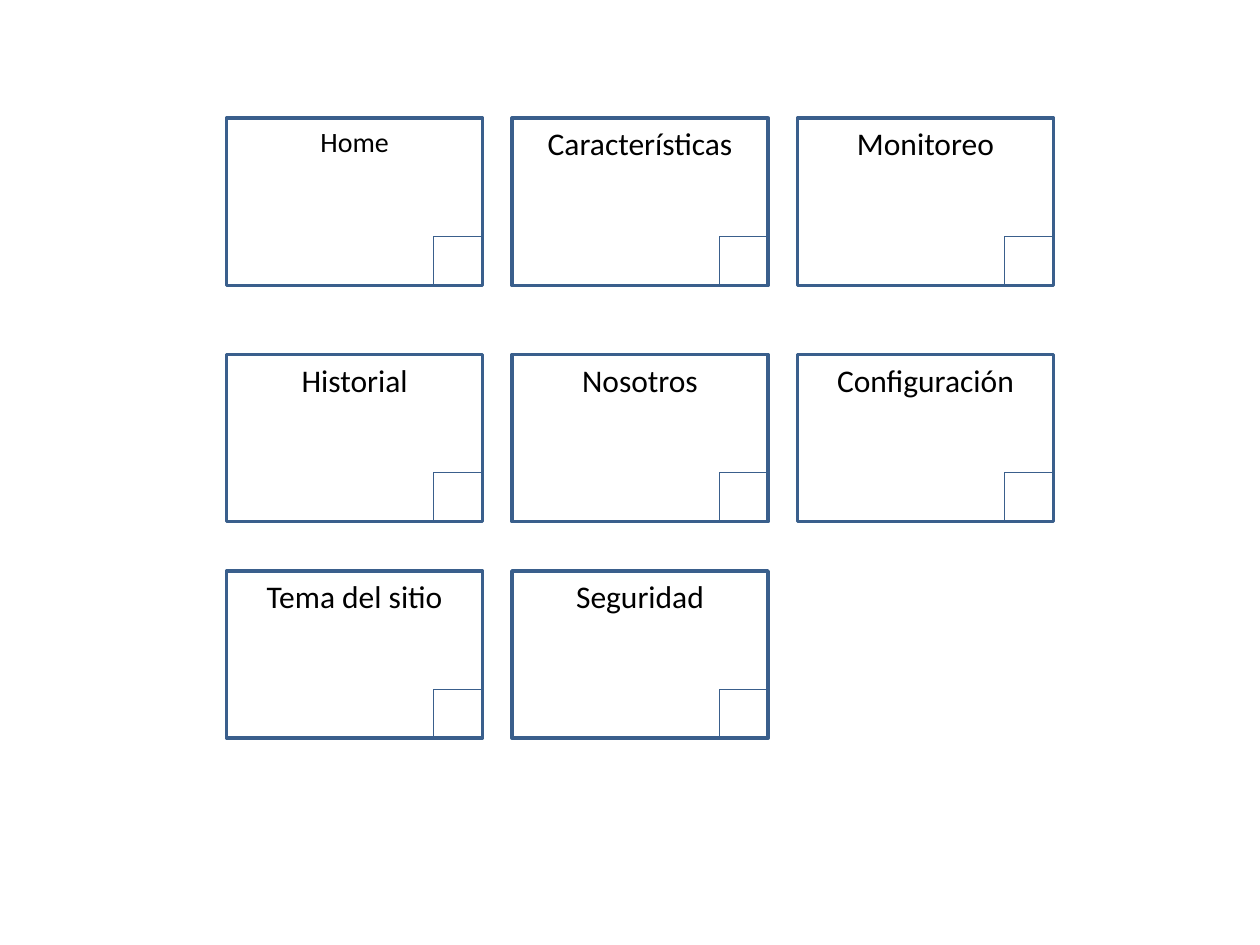
"""Build a site map slide: a grid of titled page cards, each with a corner box."""
from dataclasses import dataclass

from pptx import Presentation
from pptx import util as u
from pptx.dml.color import RGBColor
from pptx.enum import shapes, text


@dataclass
class Theme:
    outline: RGBColor = RGBColor(0x3A, 0x5F, 0x8C)
    ink: RGBColor = RGBColor(0, 0, 0)
    font: str = "Calibri"
    title_size: float = 18
    home_size: float = 16


theme = Theme()
presentation = Presentation()
presentation.slide_width = u.Pt(720)
presentation.slide_height = u.Pt(540)
slide = presentation.slides.add_slide(presentation.slide_layouts[6])


def add_box(left, top, width, height, line_width):
    box = slide.shapes.add_shape(
        shapes.MSO_SHAPE.RECTANGLE, u.Pt(left), u.Pt(top), u.Pt(width), u.Pt(height)
    )
    box.shadow.inherit = False
    box.fill.background()
    box.line.color.rgb = theme.outline
    box.line.width = u.Pt(line_width)


def add_text(content, *, left, top, width, height, size):
    label = slide.shapes.add_textbox(u.Pt(left), u.Pt(top), u.Pt(width), u.Pt(height))
    frame = label.text_frame
    frame.word_wrap = True
    frame.auto_size = text.MSO_AUTO_SIZE.SHAPE_TO_FIT_TEXT
    paragraph = frame.paragraphs[0]
    paragraph.alignment = text.PP_ALIGN.CENTER
    run = paragraph.add_run()
    run.text = content
    run.font.name = theme.font
    run.font.size = u.Pt(size)
    run.font.color.rgb = theme.ink


page_rows = [
    (67.5, ["Home", "Características", "Monitoreo"]),
    (202.5, ["Historial", "Nosotros", "Configuración"]),
    (326.25, ["Tema del sitio", "Seguridad"]),
]
first_left, column_pitch = 129.5, 163.1
card_width, card_height, corner = 146.3, 95.6, 28.1

for top, pages in page_rows:
    for column, page in enumerate(pages):
        left = first_left + column * column_pitch
        size = theme.home_size if page == "Home" else theme.title_size
        add_box(left, top, card_width, card_height, 2)
        add_text(page, left=left, top=top, width=card_width,
                 height=size * 1.2 + 7.2, size=size)
        add_box(left + card_width - corner, top + card_height - corner, corner, corner, 0.25)

presentation.save("out.pptx")
